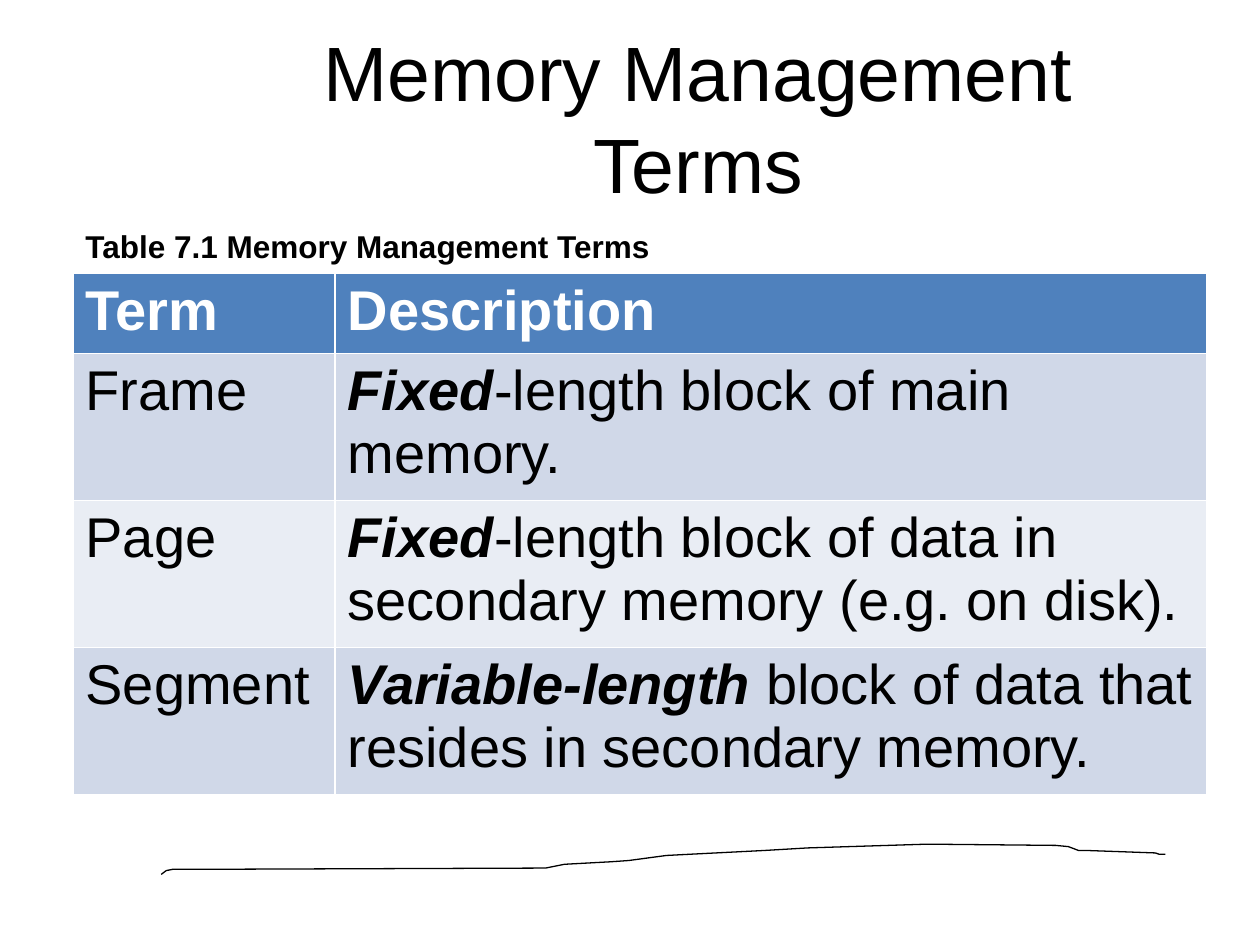
from lxml import etree
from pptx import Presentation
from pptx import util as u
from pptx.dml.color import RGBColor
from pptx.enum import text

FONT = "Arial"
HEADER_FILL, BAND_FILLS = "4F81BD", ("D0D8E8", "E9EDF4")
# Each description: emphasised start, plain rest
TERMS = [
    ("Frame", "Fixed", "-length block of main memory."),
    ("Page", "Fixed", "-length block of data in secondary memory (e.g. on disk)."),
    ("Segment", "Variable-length ", "block of data that resides in secondary memory."),
]
STROKE = [
    (0, 0.24), (0.04, 0.21), (0.09, 0.2), (0.21, 0.2), (3.05, 0.19),
    (3.2, 0.16), (3.57, 0.14), (3.71, 0.13), (4.01, 0.09), (4.2, 0.08),
    (4.79, 0.05), (5.13, 0.03), (6.08, 0), (7.1, 0.01), (7.2, 0.02),
    (7.28, 0.05), (7.34, 0.05), (7.89, 0.07), (7.92, 0.08), (7.97, 0.08),
]


def color(value):
    return RGBColor.from_string(value)


def style(p, size, fill="000000", bold=False):
    f = p.font
    f.name, f.size, f.bold = FONT, u.Pt(size), bold
    f.color.rgb = color(fill)


def add_text(s, box, words, size, bold=False, wrap=True):
    tf = s.shapes.add_textbox(*map(u.Inches, box)).text_frame
    tf.word_wrap = wrap
    p = tf.paragraphs[0]
    p.text = words
    style(p, size, bold=bold)
    return tf


def add_title(s, box):
    tf = add_text(s, box, "Memory Management Terms", 44)
    tf.vertical_anchor = text.MSO_ANCHOR.MIDDLE
    tf.paragraphs[0].alignment = text.PP_ALIGN.CENTER


def fill_cell(cell, fill, runs, font_color="000000", bold=False):
    cell.fill.solid()
    cell.fill.fore_color.rgb = color(fill)
    p = cell.text_frame.paragraphs[0]
    style(p, 32, font_color, bold)
    for words, strong in runs:
        r = p.add_run()
        r.text = words
        r.font.name, r.font.size = FONT, u.Pt(32)
        r.font.color.rgb = color(font_color)
        r.font.bold, r.font.italic = bold or strong, strong


def add_terms(s, left, top, widths, header_height, row_height):
    height = header_height + row_height * len(TERMS)
    size = map(u.Inches, (left, top, sum(widths), height))
    table = s.shapes.add_table(len(TERMS) + 1, len(widths), *size).table
    for column, width in zip(table.columns, widths):
        column.width = u.Inches(width)
    for i, row in enumerate(table.rows):
        row.height = u.Inches(row_height if i else header_height)

    # Header row
    for i, heading in enumerate(("Term", "Description")):
        fill_cell(table.cell(0, i), HEADER_FILL, [(heading, False)], "FFFFFF", True)

    # Banded rows
    for i, (term, strong, rest) in enumerate(TERMS):
        fill = BAND_FILLS[i % 2]
        fill_cell(table.cell(i + 1, 0), fill, [(term, False)])
        fill_cell(table.cell(i + 1, 1), fill, [(strong, True), (rest, False)])


def add_stroke(s, left, top):
    points = [(u.Inches(left + x), u.Inches(top + y)) for x, y in STROKE]
    builder = s.shapes.build_freeform(*points[0])
    builder.add_line_segments(points[1:], close=False)
    sp = builder.convert_to_shape()
    sp.shadow.inherit = False
    sp.fill.background()
    sp.line.color.rgb = color("000000")
    sp.line.width = u.Pt(0.75)


prs = Presentation()
prs.slide_width, prs.slide_height = u.Inches(10), u.Inches(7.5)
s = prs.slides.add_slide(prs.slide_layouts[6])

add_stroke(s, 1.28, 6.7)
add_title(s, (1.58, 0.3, 7.92, 1.25))
add_terms(s, 0.58, 2.17, (2.08, 6.92), 0.59, 1.09)
add_text(s, (0.58, 1.75, 4.72, 0.4), "Table 7.1 Memory Management Terms", 18,
         bold=True, wrap=False)

prs.save("out.pptx")
